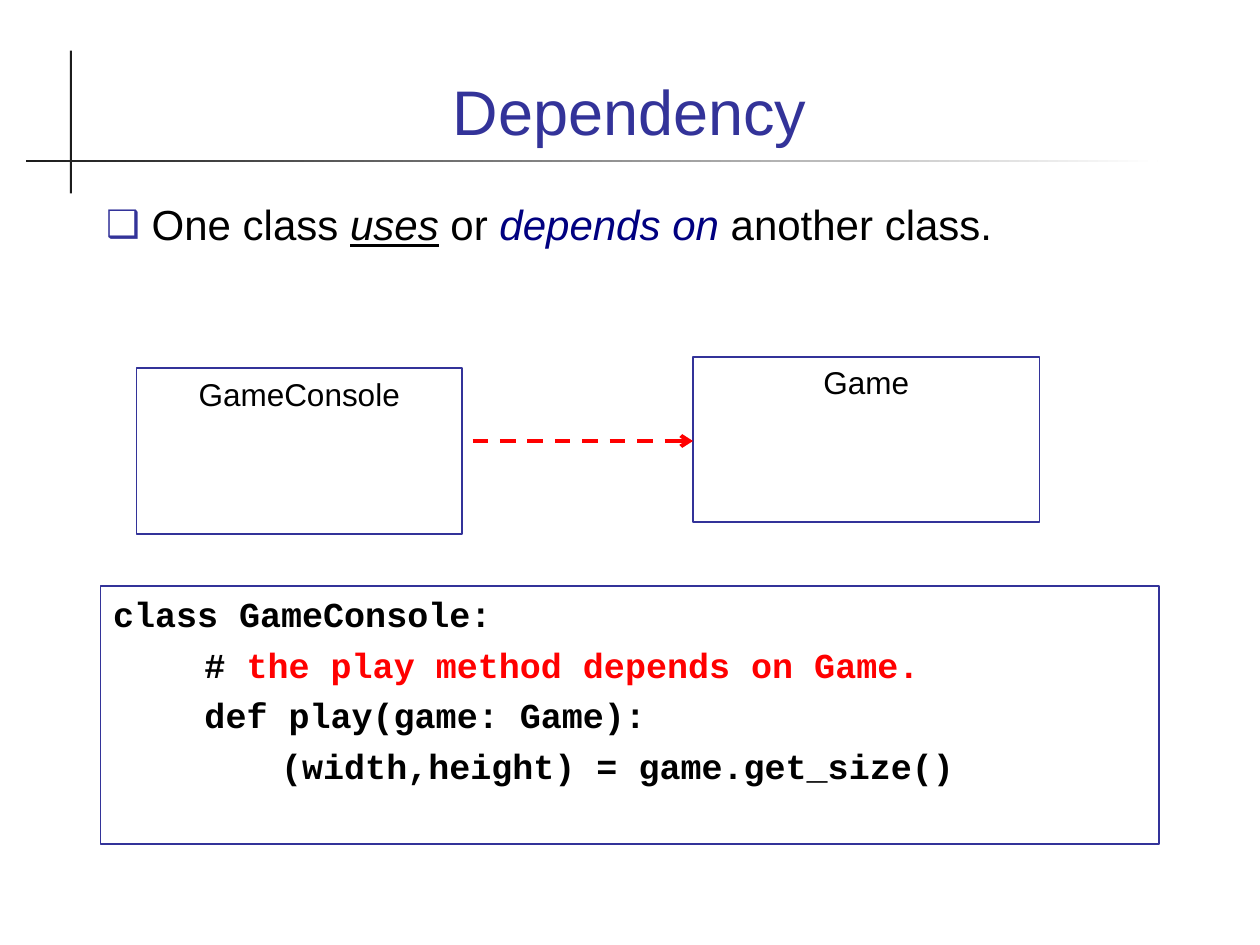
"""Build a slide that explains class dependency with a diagram and Python code."""
from lxml import etree
from pptx import Presentation
from pptx.dml.color import RGBColor
from pptx.enum.dml import MSO_LINE
from pptx.enum.shapes import MSO_CONNECTOR, MSO_SHAPE
from pptx.enum.text import MSO_ANCHOR, MSO_AUTO_SIZE, PP_ALIGN
from pptx.oxml.ns import qn
from pptx.util import Pt

INDIGO = RGBColor(0x33, 0x33, 0x99)
NAVY = RGBColor(0x00, 0x00, 0x80)
RED = RGBColor(0xFF, 0x00, 0x00)
BLACK = RGBColor(0x00, 0x00, 0x00)
CHARCOAL = RGBColor(0x1C, 0x1C, 0x1C)
WHITE = RGBColor(0xFF, 0xFF, 0xFF)
RECTANGLE = MSO_SHAPE.RECTANGLE
TOP, BOTTOM = MSO_ANCHOR.TOP, MSO_ANCHOR.BOTTOM
LEFT, CENTER = PP_ALIGN.LEFT, PP_ALIGN.CENTER
NO_FIT = MSO_AUTO_SIZE.NONE


def add_run(paragraph, text, size, color=BLACK, font="Arial"):
    run = paragraph.add_run()
    run.text = text
    run.font.name = font
    run.font.size = Pt(size)
    run.font.color.rgb = color
    return run


def add_box(left, top, width, height):
    box = slide.shapes.add_shape(RECTANGLE, Pt(left), Pt(top), Pt(width), Pt(height))
    box.shadow.inherit = False
    box.fill.background()
    box.line.color.rgb = INDIGO
    box.line.width = Pt(1)
    box.text_frame.word_wrap = True
    box.text_frame.vertical_anchor = TOP
    return box


prs = Presentation()
prs.slide_width, prs.slide_height = Pt(720), Pt(540)
slide = prs.slides.add_slide(prs.slide_layouts[1])
title, statement = slide.shapes.title, slide.placeholders[1]

for holder, top, height, anchor in ((title, 20, 68.5, BOTTOM), (statement, 110, 100, TOP)):
    holder.left, holder.top = Pt(48 if holder is title else 53.5), Pt(top)
    holder.width, holder.height = Pt(623.5), Pt(height)
    holder.text_frame.auto_size = NO_FIT
    holder.text_frame.vertical_anchor = anchor

heading = title.text_frame.paragraphs[0]
heading.alignment = CENTER
add_run(heading, "Dependency", 36, INDIGO)

sentence = statement.text_frame.paragraphs[0]
sentence.space_before = Pt(0)
bullet_props = sentence._p.get_or_add_pPr()
bullet_props.set("marL", str(Pt(26)))
bullet_props.set("indent", str(Pt(-26)))
bullet_color = etree.SubElement(bullet_props, qn("a:buClr"))
etree.SubElement(bullet_color, qn("a:srgbClr"), val=str(INDIGO))
etree.SubElement(bullet_props, qn("a:buSzPct"), val="90000")
etree.SubElement(bullet_props, qn("a:buChar"), char="❑")
add_run(sentence, "One class ", 24)
uses = add_run(sentence, "uses", 24)
uses.font.italic = uses.font.underline = True
add_run(sentence, " or ", 24)
add_run(sentence, "depends on", 24, NAVY).font.italic = True
add_run(sentence, " another class.", 24)

vertical_rule = add_box(40, 29, 1.2, 81.5)
vertical_rule.fill.solid()
vertical_rule.fill.fore_color.rgb = CHARCOAL
horizontal_rule = add_box(15, 91.5, 646.5, 1.2)
horizontal_rule.fill.gradient()
horizontal_rule.fill.gradient_angle = 0
for stop, color in zip(horizontal_rule.fill.gradient_stops, (CHARCOAL, WHITE)):
    stop.color.rgb = color
for rule in (vertical_rule, horizontal_rule):
    rule.line.fill.background()

for class_name, left, top, width in (("GameConsole", 78, 210.5, 186), ("Game", 396, 204, 198)):
    class_label = add_box(left, top, width, 94.5).text_frame.paragraphs[0]
    class_label.alignment = CENTER
    add_run(class_label, class_name, 18)

dependency = slide.shapes.add_connector(MSO_CONNECTOR.STRAIGHT, Pt(270), Pt(252), Pt(396), Pt(252))
dependency.line.color.rgb = RED
dependency.line.width = Pt(2.25)
dependency.line.dash_style = MSO_LINE.DASH
etree.SubElement(dependency.line._get_or_add_ln(), qn("a:tailEnd"), type="arrow")
etree.SubElement(dependency._element.spPr, qn("a:effectLst"))

CODE = (
    (("class GameConsole:", BLACK),),
    (("\t  #", BLACK), (" the play method depends on Game.", RED)),
    (("\t  def play(game: Game):", BLACK),),
    (("        (width,height) = game.get_size()", BLACK),),
)
listing = add_box(57.5, 335, 605, 147.5).text_frame
for number, pieces in enumerate(CODE):
    code_line = listing.add_paragraph() if number else listing.paragraphs[0]
    code_line.alignment = LEFT
    code_line.space_before = Pt(5 if number else 0)
    tab_stops = etree.SubElement(code_line._p.get_or_add_pPr(), qn("a:tabLst"))
    etree.SubElement(tab_stops, qn("a:tab"), pos=str(Pt(28.25)), algn="l")
    for text, color in pieces:
        add_run(code_line, text, 20, color, "Courier New").font.bold = True

prs.save("out.pptx")
